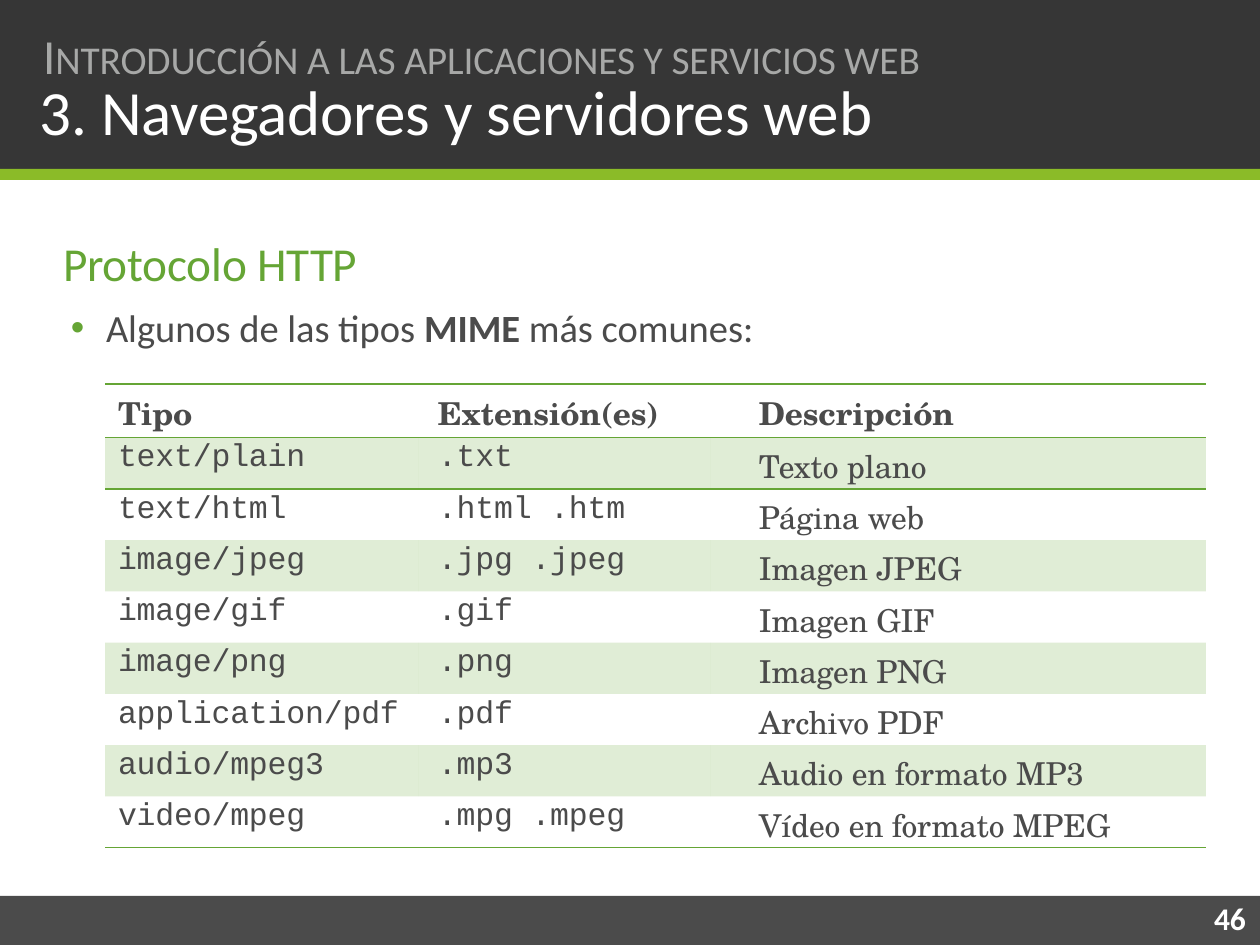
from dataclasses import dataclass

import lxml.etree
import pptx
import pptx.dml.color
import pptx.enum.shapes
import pptx.enum.text
import pptx.oxml.ns
import pptx.util

RGB = pptx.dml.color.RGBColor
WHITE = RGB(0xFF, 0xFF, 0xFF)
GREEN = RGB(0x65, 0xA5, 0x35)
LIME = RGB(0x8B, 0xBB, 0x28)
GREY = RGB(0x4B, 0x4B, 0x4B)
DARK = RGB(0x36, 0x36, 0x36)
PALE = RGB(0xA7, 0xA8, 0xA7)
SANS, MONO, SERIF = "Calibri", "Courier New", "TeX Gyre Schola"
PLAIN_STYLE = "{2D5ABB26-0587-4C30-8999-92F81FD0307C}"
SCALE = 914400 / 126
qn = pptx.oxml.ns.qn


@dataclass
class Box:
    left: int
    top: int
    width: int
    height: int


@dataclass
class Bar:
    box: Box
    color: RGB


@dataclass
class Part:
    text: str
    size: float
    color: RGB
    bold: bool = False
    font: str = SANS
    space: int = 0


@dataclass
class Column:
    width: int
    indent: int
    font: str


BARS = [
    Bar(Box(0, 896, 1260, 49), GREY),
    Bar(Box(0, 0, 1260, 170), DARK),
    Bar(Box(0, 169, 1260, 11), LIME),
]
COLUMNS = [Column(314, 13, MONO), Column(292, 19, MONO), Column(495, 48, SERIF)]
ROWS = [
    ("Tipo", "Extensión(es)", "Descripción"),
    ("text/plain", ".txt", "Texto plano"),
    ("text/html", ".html .htm", "Página web"),
    ("image/jpeg", ".jpg .jpeg", "Imagen JPEG"),
    ("image/gif", ".gif", "Imagen GIF"),
    ("image/png", ".png", "Imagen PNG"),
    ("application/pdf", ".pdf", "Archivo PDF"),
    ("audio/mpeg3", ".mp3", "Audio en formato MP3"),
    ("video/mpeg", ".mpg .mpeg", "Vídeo en formato MPEG"),
]
ROW_HEIGHT = 51
RULED = {0, 1, len(ROWS) - 1}


def px(count: int) -> int:
    return round(count * SCALE)


def place(shape, box: Box) -> None:
    shape.left, shape.top = px(box.left), px(box.top)
    shape.width, shape.height = px(box.width), px(box.height)


def draw_bar(slide, bar: Bar, depth: int) -> None:
    """Draw a band behind the placeholders."""
    shape = slide.shapes.add_shape(pptx.enum.shapes.MSO_SHAPE.RECTANGLE, 0, 0, 0, 0)
    place(shape, bar.box)
    shape.shadow.inherit = False
    shape.fill.solid()
    shape.fill.fore_color.rgb = bar.color
    shape.line.fill.background()
    slide.shapes._spTree.insert(2 + depth, shape._element)


def set_frame(shape, box: Box, inset: int = 0, wrap: bool = True):
    place(shape, box)
    frame = shape.text_frame
    frame.auto_size = pptx.enum.text.MSO_AUTO_SIZE.NONE
    frame.word_wrap = wrap
    frame.vertical_anchor = pptx.enum.text.MSO_ANCHOR.TOP
    frame.margin_left = frame.margin_right = frame.margin_bottom = 0
    frame.margin_top = px(inset)
    return frame


def write(para, parts: list[Part], before: float = 0, margin: int = 0,
          hang: int = 0, bullet: str = "") -> None:
    para.alignment = pptx.enum.text.PP_ALIGN.LEFT
    para.space_before = pptx.util.Pt(before)
    props = para._p.get_or_add_pPr()
    props.set("marL", str(px(margin)))
    props.set("indent", str(-px(hang)))
    if bullet:
        tint = lxml.etree.SubElement(props, qn("a:buClr"))
        lxml.etree.SubElement(tint, qn("a:srgbClr"), val=str(GREEN))
        lxml.etree.SubElement(props, qn("a:buChar"), char=bullet)
    else:
        lxml.etree.SubElement(props, qn("a:buNone"))
    for part in parts:
        run = para.add_run()
        run.text = part.text
        font = run.font
        font.name, font.size = part.font, pptx.util.Pt(part.size)
        font.bold = part.bold
        font.color.rgb = part.color
        run._r.get_or_add_rPr().set("spc", str(part.space))


def add_rule(cell, side: str) -> None:
    """Add a green border; must come before the fill of the cell."""
    line = lxml.etree.SubElement(cell._tc.get_or_add_tcPr(), qn(f"a:{side}"), w="12700")
    fill = lxml.etree.SubElement(line, qn("a:solidFill"))
    lxml.etree.SubElement(fill, qn("a:srgbClr"), val=str(GREEN))


def fill_cell(cell, text: str, row: int, column: Column) -> None:
    font = SERIF if row == 0 else column.font
    serif = font == SERIF
    cell.margin_left = cell.margin_right = cell.margin_bottom = 0
    cell.margin_top = px(5 if serif else 3)
    part = Part(text, 18, GREY, row == 0, font, -10)
    write(cell.text_frame.paragraphs[0], [part], 3 if serif else 1.5, column.indent)
    if row < 2:
        add_rule(cell, "lnT")
    if row in RULED:
        add_rule(cell, "lnB")
    if row % 2:
        cell.fill.solid()
        cell.fill.fore_color.rgb = GREEN
        tint = cell._tc.tcPr.find(".//" + qn("a:solidFill") + "[last()]")
        tint = cell._tc.tcPr.find(qn("a:solidFill")) if tint is None else tint
        tint = cell._tc.tcPr.findall(qn("a:solidFill"))[-1]
        lxml.etree.SubElement(tint[0], qn("a:alpha"), val="20000")
    else:
        cell.fill.background()


def draw_table(slide) -> None:
    width = sum(column.width for column in COLUMNS)
    frame = slide.shapes.add_table(len(ROWS), len(COLUMNS), px(105), px(384),
                                   px(width), px(ROW_HEIGHT * len(ROWS)))
    table = frame.table
    table.first_row = table.horz_banding = False
    table._tbl.tblPr.find(qn("a:tableStyleId")).text = PLAIN_STYLE
    for index, column in enumerate(COLUMNS):
        table.columns[index].width = px(column.width)
    for row, texts in enumerate(ROWS):
        table.rows[row].height = px(ROW_HEIGHT)
        for index, text in enumerate(texts):
            fill_cell(table.cell(row, index), text, row, COLUMNS[index])


def main() -> None:
    deck = pptx.Presentation()
    deck.slide_width, deck.slide_height = px(1260), px(945)
    slide = deck.slides.add_slide(deck.slide_layouts[1])
    for depth, bar in enumerate(BARS):
        draw_bar(slide, bar, depth)

    title = set_frame(slide.shapes.title, Box(41, 24, 961, 62), 1)
    write(title.paragraphs[0], [
        Part("I", 28, PALE, space=-10),
        Part("NTRODUCCIÓN A LAS APLICACIONES Y SERVICIOS WEB", 22.5, PALE, space=-10),
    ], 0, 2)

    body = set_frame(slide.placeholders[1], Box(61, 203, 702, 136), 31)
    write(body.paragraphs[0], [Part("Protocolo HTTP", 27, GREEN, space=-10)], 0, 2)
    write(body.add_paragraph(), [
        Part("Algunos de las tipos ", 22, GREY),
        Part("MIME ", 22, GREY, True),
        Part("más comunes:", 22, GREY),
    ], 7.5, 45, 35, "•")

    topic = set_frame(slide.shapes.add_textbox(0, 0, 0, 0), Box(38, 72, 850, 79), 1)
    write(topic.paragraphs[0],
          [Part("3. Navegadores y servidores web", 36, WHITE, space=-10)], 0, 2)
    number = set_frame(slide.shapes.add_textbox(0, 0, 0, 0), Box(1210, 905, 42, 35),
                       wrap=False)
    write(number.paragraphs[0], [Part("46", 18, WHITE, True)], 0, 4)
    number.paragraphs[0].line_spacing = pptx.util.Pt(18)
    draw_table(slide)
    deck.save("out.pptx")


if __name__ == "__main__":
    main()
